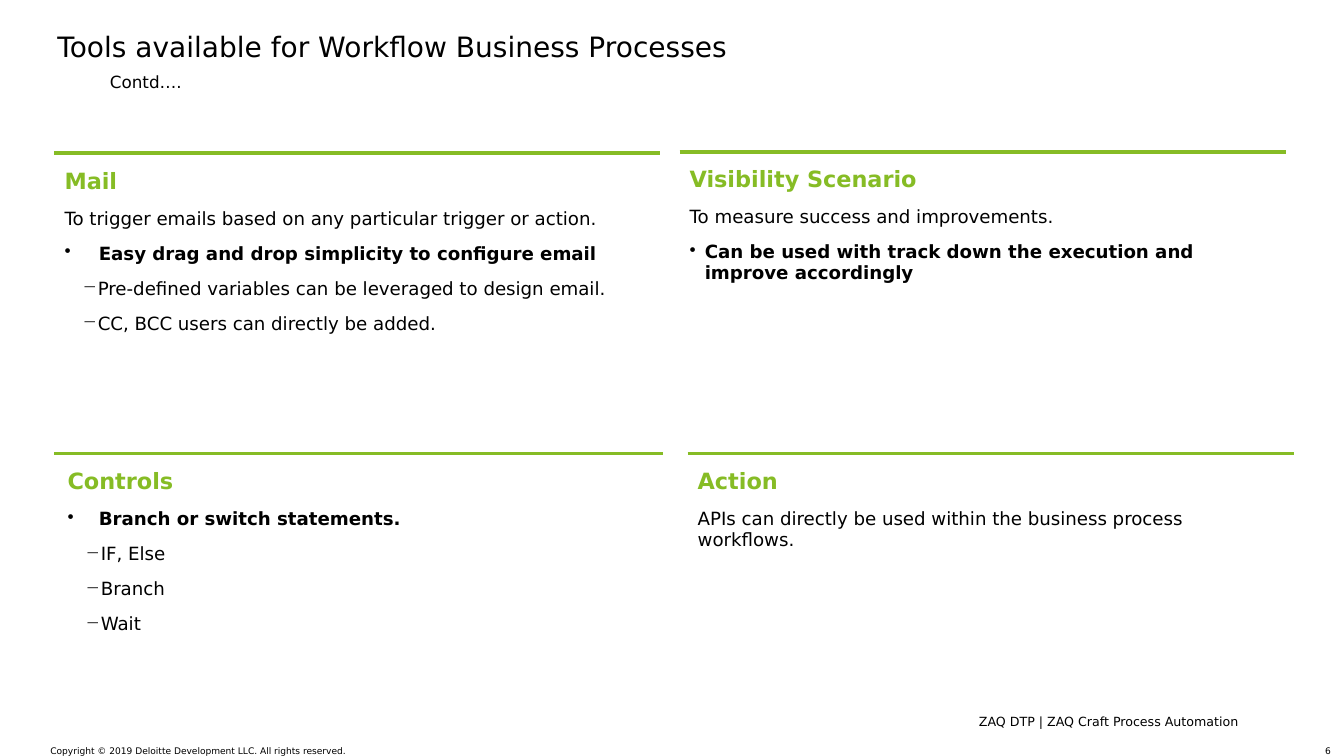
from dataclasses import dataclass

from lxml.etree import SubElement
from pptx import Presentation
from pptx.dml.color import RGBColor
from pptx.enum.text import PP_ALIGN as Align
from pptx.oxml import parse_xml
from pptx.oxml.ns import nsdecls, qn
from pptx.util import Inches, Pt

FONT = "DejaVu Sans"
COLORS = {"text": "000000", "accent": "86BC25"}
PANEL_WIDTH = 6.01
BORDER_POINTS = 3


@dataclass
class Label:
    text: str
    left: float
    top: float
    width: float
    height: float
    size: float
    align: Align = Align.LEFT


@dataclass
class Line:
    text: str
    level: int = 0
    bullet: str = ""
    indent: float = 0
    hanging: float = 0
    bold: bool = False
    size: float = 13
    color: str = "text"


@dataclass
class Panel:
    heading: str
    left: float
    top: float
    height: float
    lines: list[Line]
    borders: str = "T"


def point(text: str, indent: float = 0.15) -> Line:
    return Line(text, 1, "•", indent, indent, bold=True)


def dash(text: str) -> Line:
    return Line(text, 2, "−", 0.33, 0.15)


LABELS = [
    Label("ZAQ DTP | ZAQ Craft Process Automation", 6.93, 7.08, 5.35, 0.15, 9, Align.RIGHT),
    Label("Copyright © 2019 Deloitte Development LLC. All rights reserved.",
          0.5, 7.39, 5.86, 0.11, 6.5),
    Label("6", 12.86, 7.39, 0.34, 0.11, 6.5, Align.RIGHT),
    Label("Tools available for Workflow Business Processes", 0.57, 0.29, 12.24, 0.4, 20),
    Label("Contd….", 1.09, 0.71, 12.2, 0.65, 12),
]

PANELS = [
    Panel("Controls", 0.57, 4.5, 1.89, [
        point("Branch or switch statements.", 0.31),
        dash("IF, Else"),
        dash("Branch"),
        dash("Wait"),
    ]),
    Panel("Visibility Scenario", 6.74, 1.51, 1.39, [
        Line("To measure success and improvements."),
        point("Can be used with track down the execution and improve accordingly"),
    ]),
    Panel("Action", 6.82, 4.5, 1.04, [
        Line("APIs can directly be used within the business process workflows."),
    ]),
    Panel("Mail", 0.54, 1.52, 2.98, [
        Line("To trigger emails based on any particular trigger or action."),
        point("Easy drag and drop simplicity to configure email", 0.34),
        dash("Pre-defined variables can be leveraged to design email."),
        dash("CC, BCC users can directly be added."),
    ], "TB"),
]


def style_runs(paragraph, size: float, color: str, bold: bool = False) -> None:
    for run in paragraph.runs:
        run.font.name = FONT
        run.font.size = Pt(size)
        run.font.bold = bold
        run.font.color.rgb = RGBColor.from_string(COLORS[color])


def draw_label(slide, label: Label) -> None:
    shape = slide.shapes.add_textbox(Inches(label.left), Inches(label.top),
                                     Inches(label.width), Inches(label.height))
    frame = shape.text_frame
    frame.margin_left = frame.margin_right = frame.margin_top = frame.margin_bottom = 0
    frame.word_wrap = True
    frame.text = label.text
    paragraph = frame.paragraphs[0]
    paragraph.alignment = label.align
    style_runs(paragraph, label.size, "text")


def write_line(paragraph, line: Line) -> None:
    paragraph.text = line.text
    paragraph.level = line.level
    paragraph.space_after = Pt(10)
    properties = paragraph._p.get_or_add_pPr()
    properties.set("marL", str(Inches(line.indent)))
    properties.set("indent", str(-Inches(line.hanging)))
    if line.bullet:
        SubElement(properties, qn("a:buChar")).set("char", line.bullet)
    style_runs(paragraph, line.size, line.color, line.bold)


def set_borders(cell, visible: str) -> None:
    properties = cell._tc.get_or_add_tcPr()
    for index, side in enumerate("LRTB"):
        fill = "<a:noFill/>"
        if side in visible:
            fill = f'<a:solidFill><a:srgbClr val="{COLORS["accent"]}"/></a:solidFill>'
        border = parse_xml(f'<a:ln{side} {nsdecls("a")} w="{Pt(BORDER_POINTS)}">{fill}</a:ln{side}>')
        properties.insert(index, border)


def draw_panel(slide, panel: Panel) -> None:
    table = slide.shapes.add_table(1, 1, Inches(panel.left), Inches(panel.top),
                                   Inches(PANEL_WIDTH), Inches(panel.height)).table
    table.first_row = table.horz_banding = False
    cell = table.cell(0, 0)
    cell.fill.background()
    cell.margin_left = cell.margin_right = Inches(0.1)
    cell.margin_top, cell.margin_bottom = Inches(0.15), Inches(0.05)
    set_borders(cell, panel.borders)
    frame = cell.text_frame
    write_line(frame.paragraphs[0], Line(panel.heading, bold=True, size=16, color="accent"))
    for line in panel.lines:
        write_line(frame.add_paragraph(), line)


def main() -> None:
    presentation = Presentation()
    presentation.slide_width = Inches(13.33)
    presentation.slide_height = Inches(7.5)
    slide = presentation.slides.add_slide(presentation.slide_layouts[6])

    # Title, subtitle and footer
    for label in LABELS:
        draw_label(slide, label)

    # Tool panels
    for panel in PANELS:
        draw_panel(slide, panel)

    presentation.save("out.pptx")


if __name__ == "__main__":
    main()
